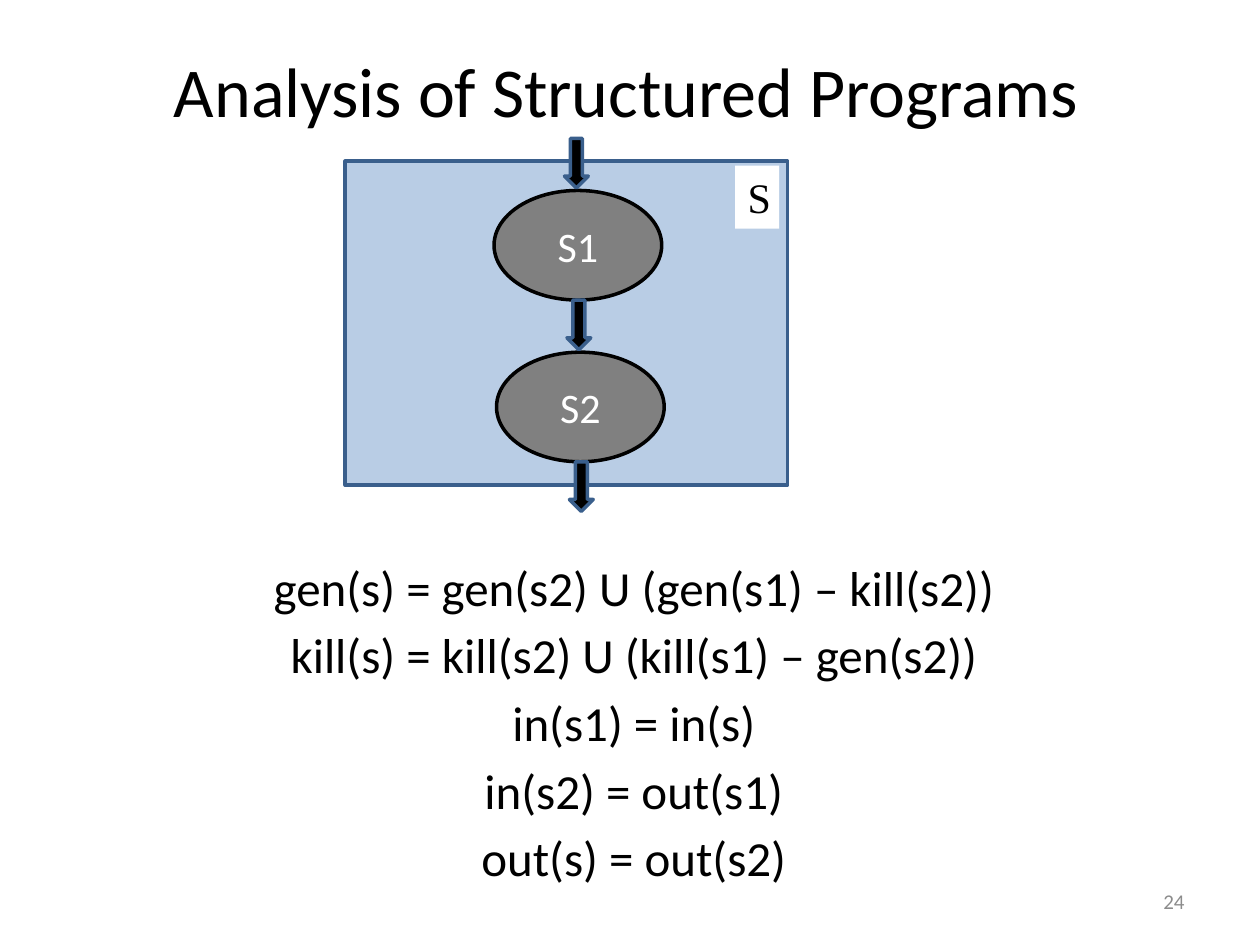
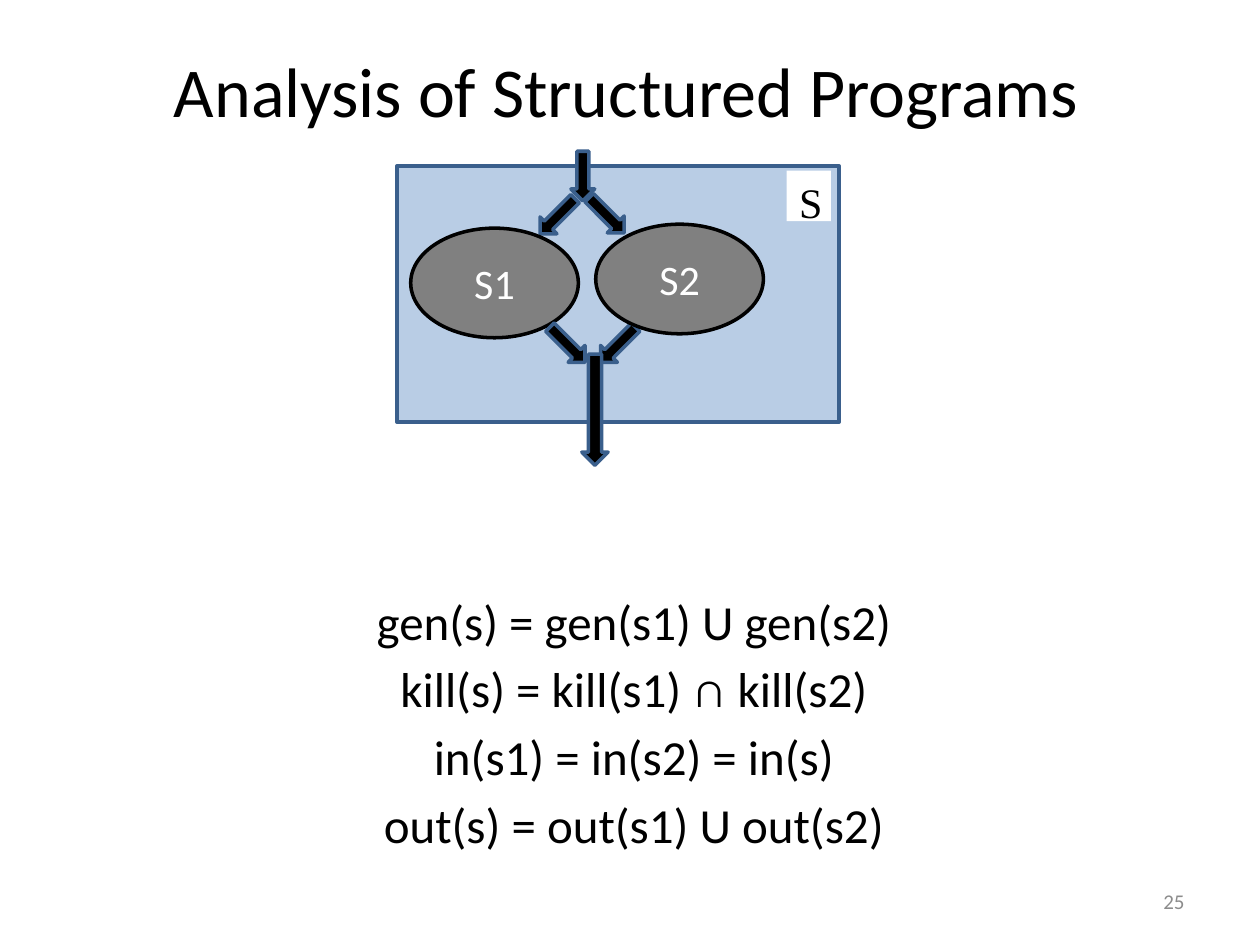
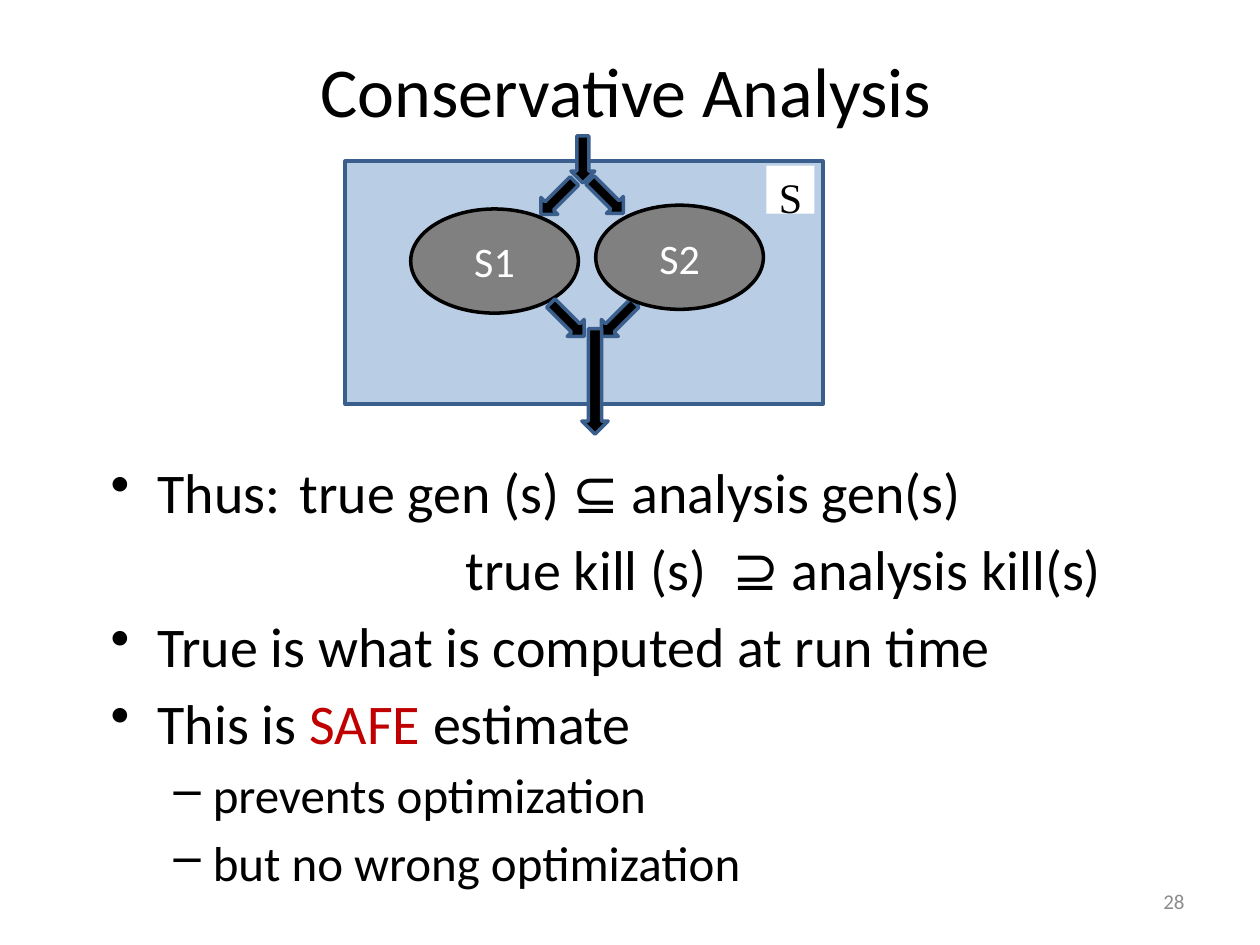
import pptx
import pptx.dml.color
import pptx.enum.shapes
import pptx.enum.text
import pptx.oxml.xmlchemy
import pptx.util
from lxml import etree
from pptx.oxml.ns import qn

Cm = pptx.util.Cm
RGBColor = pptx.dml.color.RGBColor
SHAPES = pptx.enum.shapes.MSO_SHAPE
ALIGN = pptx.enum.text.PP_ALIGN
ANCHOR = pptx.enum.text.MSO_ANCHOR

BLACK = RGBColor(0x00, 0x00, 0x00)
WHITE = RGBColor(0xFF, 0xFF, 0xFF)
GREY = RGBColor(0x80, 0x80, 0x80)
PALE_BLUE = RGBColor(0xB9, 0xCD, 0xE5)
STEEL_BLUE = RGBColor(0x3A, 0x5F, 0x8C)
NUMBER_GREY = RGBColor(0x8C, 0x8C, 0x8C)
RED = RGBColor(0xC0, 0x00, 0x00)


class Deck:
    """Holds the shared style and the slide being built."""

    font = "Calibri"
    label_font = "Times New Roman"
    spacing = 0.18

    def __init__(self):
        self.presentation = pptx.Presentation()
        self.presentation.slide_width = Cm(25.4)
        self.presentation.slide_height = Cm(19.05)
        self.slide = None

    def new_slide(self, title, number):
        """Start a slide with its title and page number."""
        self.slide = self.presentation.slides.add_slide(self.presentation.slide_layouts[6])
        for text, box, size, color, align in (
            (title, (0.91, 0.64, 23.42, 2.31), 40, BLACK, ALIGN.CENTER),
            (str(number), (18.21, 17.65, 5.92, 1.02), 12, NUMBER_GREY, ALIGN.RIGHT),
        ):
            text_frame = self.text_box(*box, ANCHOR.MIDDLE)
            text_frame.text = text
            self.format(text_frame.paragraphs[0], size, color, align)

    def text_box(self, left, top, width, height, anchor):
        """Add an empty wrapping text box and return its text frame."""
        shape = self.slide.shapes.add_textbox(Cm(left), Cm(top), Cm(width), Cm(height))
        shape.text_frame.word_wrap = True
        shape.text_frame.vertical_anchor = anchor
        return shape.text_frame

    def format(self, paragraph, size, color, align=ALIGN.LEFT, font=None):
        """Align a paragraph and style all its runs."""
        paragraph.alignment = align
        for run in paragraph.runs:
            run.font.name = font or self.font
            run.font.size = pptx.util.Pt(size)
            run.font.color.rgb = color

    def equations(self, *lines):
        """Write centred equations in the lower half."""
        text_frame = self.text_box(1.98, 10.82, 21.59, 7.47, ANCHOR.MIDDLE)
        text_frame.text = "\n".join(lines)
        for paragraph in text_frame.paragraphs:
            self.format(paragraph, 28, BLACK, ALIGN.CENTER)
            paragraph.space_before = pptx.util.Pt(28 * self.spacing)

    def points(self, items):
        """Write a list of (text, size, bullet, margin, hanging) items."""
        text_frame = self.text_box(1.98, 9.09, 21.59, 7.7, ANCHOR.TOP)
        text_frame.text = "\n".join(item[0] for item in items)
        for paragraph, (_, size, bullet, margin, hanging) in zip(text_frame.paragraphs, items):
            self.format(paragraph, size, BLACK)
            paragraph.space_before = pptx.util.Pt(size * self.spacing)
            properties = paragraph._p.get_or_add_pPr()
            properties.set("marL", str(Cm(margin)))
            properties.set("indent", str(-Cm(hanging)))
            if bullet:
                etree.SubElement(properties, qn("a:buChar")).set("char", bullet)
        return text_frame.paragraphs

    def emphasize(self, paragraph, word):
        """Colour one word of a paragraph red."""
        before, word, after = paragraph.text.partition(word)
        size = paragraph.runs[0].font.size.pt
        paragraph.text = before
        for text in (word, after):
            paragraph.add_run().text = text
        self.format(paragraph, size, BLACK)
        paragraph.runs[1].font.color.rgb = RED

    def shape(self, kind, left, top, width, height, fill, line=None):
        """Add a flat preset shape."""
        shape = self.slide.shapes.add_shape(kind, Cm(left), Cm(top), Cm(width), Cm(height))
        shape.shadow.inherit = False
        shape.fill.solid()
        shape.fill.fore_color.rgb = fill
        if line is None:
            shape.line.fill.background()
        else:
            shape.line.color.rgb = line
            shape.line.width = pptx.util.Pt(2)
        return shape

    def region(self, left, top, width, height, label_width, label_height):
        """Add the region S with its label in the top right corner."""
        self.shape(SHAPES.RECTANGLE, left, top, width, height, PALE_BLUE, STEEL_BLUE)
        label_left = left + width - label_width - 0.17
        label = self.shape(SHAPES.RECTANGLE, label_left, top + 0.09, label_width, label_height, WHITE)
        label.text_frame.text = "S"
        label.text_frame.vertical_anchor = ANCHOR.TOP
        self.format(label.text_frame.paragraphs[0], 24, BLACK, font=self.label_font)

    def statement(self, name, left, top, height=2.21):
        """Add a statement ellipse."""
        shape = self.shape(SHAPES.OVAL, left, top, 3.38, height, GREY, BLACK)
        shape.text_frame.text = name
        shape.text_frame.vertical_anchor = ANCHOR.MIDDLE
        self.format(shape.text_frame.paragraphs[0], 24, WHITE, ALIGN.CENTER)

    def arrow(self, left, top, height=1.0, rotation=0, width=0.48):
        """Add a black block arrow, pointing down before rotation."""
        shape = self.shape(SHAPES.DOWN_ARROW, left, top, width, height, BLACK, STEEL_BLUE)
        shape.rotation = rotation

    def sequence(self):
        """Draw S1 followed by S2."""
        across, down = 0.05, 3.26
        for index, name in enumerate(("S1", "S2")):
            self.statement(name, 9.96 + index * across, 3.84 + index * down)
        for index in range(3):
            self.arrow(11.38 + index * across, 2.79 + index * down)

    def branch(self, top, scale=1.0):
        """Draw S1 and S2 as alternatives, squeezed vertically by scale."""
        length, height = 1.0 * scale, 2.21 * scale
        self.arrow(11.0, top + 0.81 * scale, length, 45)
        self.arrow(11.99, top + 0.79 * scale, length, 315)
        self.statement("S1", 8.28, top + 1.55 * scale, height)
        self.arrow(12.22, top + 3.4 * scale, length, 45)
        self.statement("S2", 12.01, top + 1.47 * scale, height)
        self.arrow(11.2, top + 3.4 * scale, length, 315)
        self.arrow(11.51, top, length)
        self.arrow(11.73, top + 4.09 * scale, 2.24 * scale, width=0.53)


def main():
    """Build the three slides."""
    deck = Deck()

    deck.new_slide("Analysis of Structured Programs", 24)
    deck.equations(
        "gen(s) = gen(s2) U (gen(s1) – kill(s2))",
        "kill(s) = kill(s2) U (kill(s1) – gen(s2))",
        "in(s1) = in(s)",
        "in(s2) = out(s1)",
        "out(s) = out(s2)",
    )
    deck.region(6.96, 3.25, 8.92, 6.53, 0.89, 1.27)
    deck.sequence()

    deck.new_slide("Analysis of Structured Programs", 25)
    deck.equations(
        "gen(s) = gen(s1) U gen(s2)",
        "kill(s) = kill(s1) ∩ kill(s2)",
        "in(s1) = in(s2) = in(s)",
        "out(s) = out(s1) U out(s2)",
    )
    deck.region(8.0, 3.35, 8.92, 5.16, 0.89, 1.02)
    deck.branch(3.05)

    deck.new_slide("Conservative Analysis", 28)
    main_point = (32, "•", 0.95, 0.95)
    sub_point = (28, "–", 2.06, 0.79)
    paragraphs = deck.points((
        ("Thus: \ttrue gen (s) ⊆ analysis gen(s)", *main_point),
        ("true kill (s)  ⊇ analysis kill(s)", 32, None, 7.16, 0),
        ("True is what is computed at run time", *main_point),
        ("This is SAFE estimate", *main_point),
        ("prevents optimization", *sub_point),
        ("but no wrong optimization", *sub_point),
    ))
    deck.emphasize(paragraphs[3], "SAFE")
    deck.region(6.96, 3.25, 9.63, 4.9, 0.97, 0.97)
    deck.branch(2.74, 0.95)

    deck.presentation.save("out.pptx")


if __name__ == "__main__":
    main()
